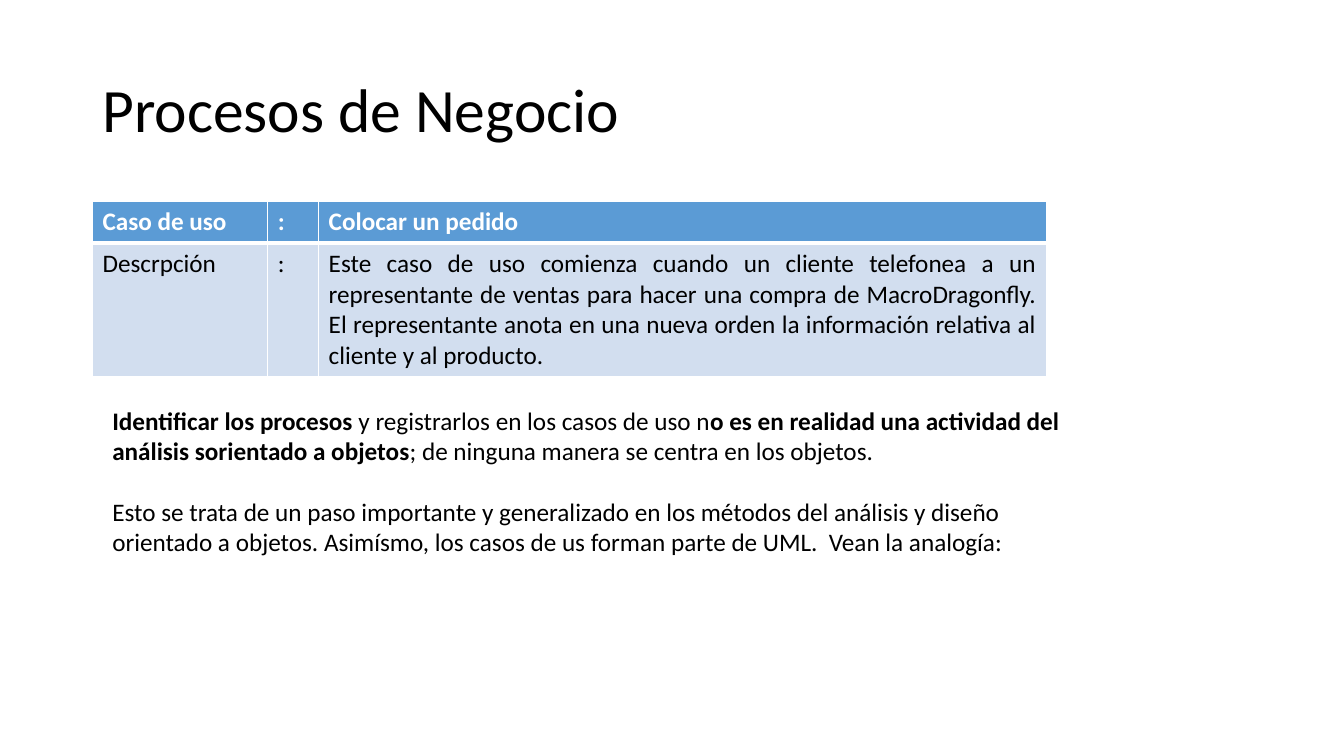
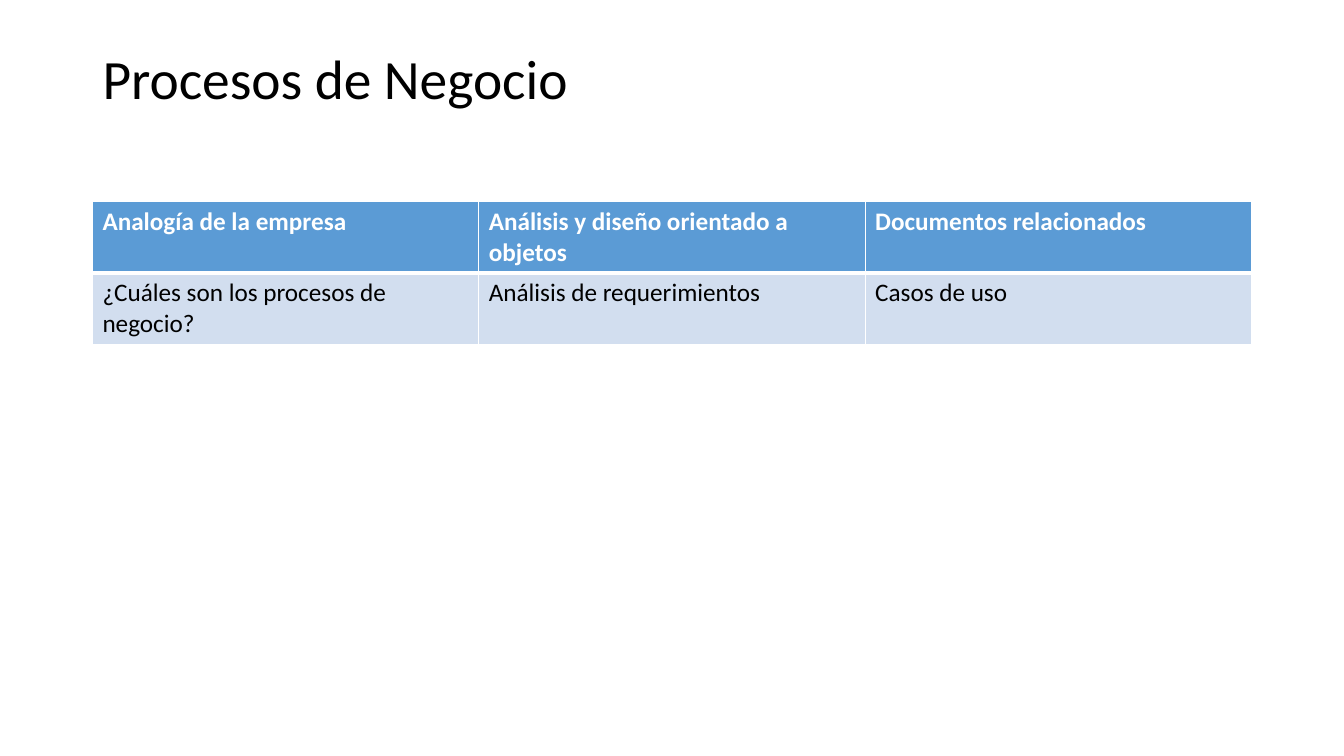
from lxml import etree
from pptx import Presentation
from pptx.dml.color import RGBColor
from pptx.enum import text
from pptx.oxml import ns
from pptx.util import Cm, Pt

WHITE = RGBColor(0xFF, 0xFF, 0xFF)
BLACK = RGBColor(0x00, 0x00, 0x00)
HEADER_BLUE = RGBColor(0x5B, 0x9B, 0xD5)
BODY_BLUE = RGBColor(0xD2, 0xDE, 0xEF)

FONT = "Calibri"
BODY_SIZE = 18
TITLE = "Procesos de Negocio"
TITLE_BOX = (2.33, 1.01, 29.21, 3.68)
TABLE_TOP = 5.07
ROW_HEIGHT = 1.06
THIN, THICK = 1, 3


def add_run(paragraph, content, size=BODY_SIZE, color=BLACK, bold=False):
    """Append one formatted run to a paragraph."""
    run = paragraph.add_run()
    run.text = content
    run.font.name = FONT
    run.font.size = Pt(size)
    run.font.bold = bold
    run.font.color.rgb = color


def add_titled_slide(presentation, size, bottom_inset=0.13):
    """Add a title-only slide with the shared title style."""
    slide = presentation.slides.add_slide(presentation.slide_layouts[5])
    title = slide.shapes.title
    title.left, title.top, title.width, title.height = map(Cm, TITLE_BOX)
    frame = title.text_frame
    frame.word_wrap = True
    frame.auto_size = text.MSO_AUTO_SIZE.NONE
    frame.vertical_anchor = text.MSO_ANCHOR.MIDDLE
    frame.margin_bottom = Cm(bottom_inset)
    paragraph = frame.paragraphs[0]
    paragraph.alignment = text.PP_ALIGN.LEFT
    paragraph.line_spacing = 0.9
    add_run(paragraph, TITLE, size)
    return slide


def set_borders(cell, top, bottom):
    """Draw white borders around a cell, with top and bottom widths in points."""
    properties = cell._tc.get_or_add_tcPr()
    widths = {"lnL": THIN, "lnR": THIN, "lnT": top, "lnB": bottom}
    for position, (side, width) in enumerate(widths.items()):
        line = etree.Element(ns.qn(f"a:{side}"), w=str(Pt(width)))
        fill = etree.SubElement(line, ns.qn("a:solidFill"))
        etree.SubElement(fill, ns.qn("a:srgbClr"), val=str(WHITE))
        properties.insert(position, line)


def add_case_table(slide, left, top, column_widths, rows):
    """Add a table with a blue header row and pale body rows."""
    shape = slide.shapes.add_table(
        len(rows), len(column_widths), Cm(left), Cm(top),
        Cm(sum(column_widths)), Cm(ROW_HEIGHT * len(rows)))
    table = shape.table
    for column, width in zip(table.columns, column_widths):
        column.width = Cm(width)
    for row_index, contents in enumerate(rows):
        header = row_index == 0
        table.rows[row_index].height = Cm(ROW_HEIGHT)
        for column_index, content in enumerate(contents):
            cell = table.cell(row_index, column_index)
            cell.fill.solid()
            cell.fill.fore_color.rgb = HEADER_BLUE if header else BODY_BLUE
            set_borders(cell, THICK if row_index == 1 else THIN,
                        THICK if header else THIN)
            add_run(cell.text_frame.paragraphs[0], content,
                    color=WHITE if header else BLACK, bold=header)
    return table


def add_notes_text(slide, left, top, width, height, paragraphs):
    """Add a wrapped text box from paragraphs of (content, bold) runs."""
    box = slide.shapes.add_textbox(Cm(left), Cm(top), Cm(width), Cm(height))
    frame = box.text_frame
    frame.word_wrap = True
    frame.auto_size = text.MSO_AUTO_SIZE.SHAPE_TO_FIT_TEXT
    for index, runs in enumerate(paragraphs):
        paragraph = frame.add_paragraph() if index else frame.paragraphs[0]
        paragraph.space_before = Pt(22 if index else 0)
        for content, bold in runs:
            add_run(paragraph, content, bold=bold)


def build_use_case_slide(presentation):
    """Build the slide that describes the use case."""
    slide = add_titled_slide(presentation, 44)
    table = add_case_table(slide, TITLE_BOX[0], TABLE_TOP, (4.42, 1.28, 18.34), [
        ("Caso de uso", ":", "Colocar un pedido"),
        ("Descrpción", ":",
         "Este caso de uso comienza cuando un cliente telefonea a un "
         "representante de ventas para hacer una compra de MacroDragonfly. "
         "El representante anota en una nueva orden la información relativa "
         "al cliente y al producto."),
    ])
    description = table.cell(1, 2).text_frame.paragraphs[0]
    description.alignment = text.PP_ALIGN.JUSTIFY
    add_notes_text(slide, 2.58, 10.08, 25.12, 4.09, [
        [("Identificar los procesos", True),
         (" y registrarlos en los casos de uso n", False),
         ("o es en realidad una actividad del análisis sorientado a objetos", True),
         ("; de ninguna manera se centra en los objetos.", False)],
        [("Esto se trata de un paso importante y generalizado en los métodos "
          "del análisis y diseño orientado a objetos. Asimísmo, los casos de "
          "us forman parte de UML.  Vean la analogía:", False)],
    ])


def build_analogy_slide(presentation):
    """Build the slide that compares the company with the analysis."""
    slide = add_titled_slide(presentation, 39.6, bottom_inset=1.7)
    left, _, width, _ = TITLE_BOX
    add_case_table(slide, left, TABLE_TOP, [width / 3] * 3, [
        ("Analogía de la empresa", "Análisis y diseño orientado a objetos",
         "Documentos relacionados"),
        ("¿Cuáles son los procesos de negocio?", "Análisis de requerimientos",
         "Casos de uso"),
    ])


def main():
    """Create and save the presentation."""
    presentation = Presentation()
    presentation.slide_width = Cm(33.87)
    presentation.slide_height = Cm(19.05)
    build_use_case_slide(presentation)
    build_analogy_slide(presentation)
    presentation.save("out.pptx")


if __name__ == "__main__":
    main()
